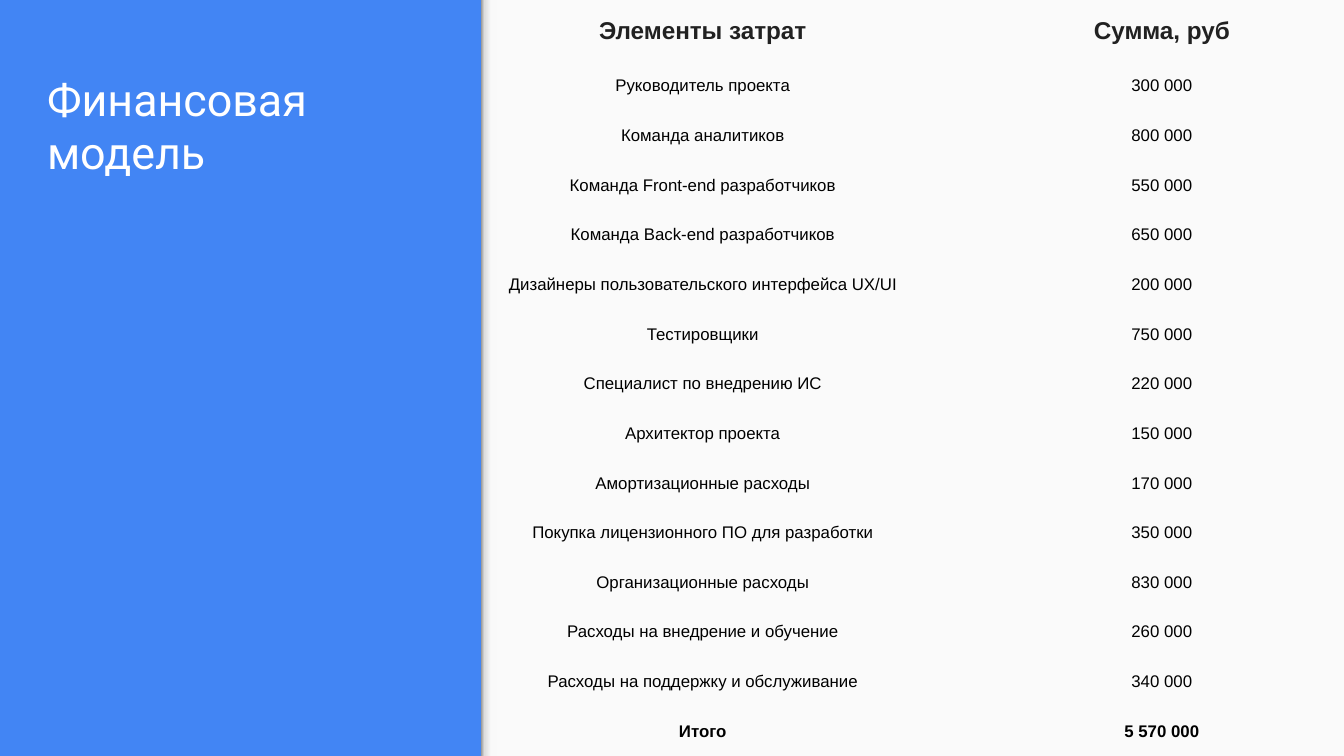
"""Build the financial model slide with its cost table."""
from copy import deepcopy
from typing import NamedTuple

from pptx import Presentation
from pptx.dml.color import RGBColor
from pptx.enum.shapes import MSO_SHAPE
from pptx.enum.text import MSO_ANCHOR, MSO_AUTO_SIZE, PP_ALIGN
from pptx.oxml.ns import qn
from pptx.util import Pt

WIDE, HIGH = 720, 405
EDGE = 257.8
INSET = 7.2
HEAD_H, ROW_H, COL_W = 32.4, 26.6, 246
PLAIN = "{2D5ABB26-0587-4C30-8999-92F81FD0307C}"
SHADE = [(0, "999999"), (0.2, "DEDEDE"), (0.64, "F9F9F9"), (1, "F9F9F9")]


class Cost(NamedTuple):
    name: str
    sum: str
    size: int = 9
    bold: bool = False
    color: str = "000000"


COSTS = [
    Cost("Элементы затрат", "Сумма, руб", 13, True, "212121"),
    Cost("Руководитель проекта", "300 000"),
    Cost("Команда аналитиков", "800 000"),
    Cost("Команда Front-end разработчиков", "550 000"),
    Cost("Команда Back-end разработчиков", "650 000"),
    Cost("Дизайнеры пользовательского интерфейса UX/UI", "200 000"),
    Cost("Тестировщики", "750 000"),
    Cost("Специалист по внедрению ИС", "220 000"),
    Cost("Архитектор проекта", "150 000"),
    Cost("Амортизационные расходы", "170 000"),
    Cost("Покупка лицензионного ПО для разработки", "350 000"),
    Cost("Организационные расходы", "830 000"),
    Cost("Расходы на внедрение и обучение", "260 000"),
    Cost("Расходы на поддержку и обслуживание", "340 000"),
    Cost("Итого", "5 570 000", bold=True),
]


def paint(color, value: str) -> None:
    color.rgb = RGBColor.from_string(value)


def style(para, face: str, size: int, color: str, bold: bool = False) -> None:
    font = para.font
    font.name, font.size, font.bold = face, Pt(size), bold
    paint(font.color, color)


def pad(box) -> None:
    box.margin_left = box.margin_right = Pt(INSET)
    box.margin_top = box.margin_bottom = Pt(INSET)


def add_rect(slide, left: float, width: float):
    rect = slide.shapes.add_shape(
        MSO_SHAPE.RECTANGLE, Pt(left), Pt(0), Pt(width), Pt(HIGH))
    rect.shadow.inherit = False
    rect.line.fill.background()
    return rect


def add_panel(slide) -> None:
    panel = add_rect(slide, EDGE, WIDE - EDGE)
    panel.fill.solid()
    paint(panel.fill.fore_color, "FAFAFA")
    strip = add_rect(slide, EDGE, 8.6)
    strip.fill.gradient()
    strip.fill.gradient_angle = 0
    stops = strip.element.spPr.find(qn("a:gradFill")).find(qn("a:gsLst"))
    for _ in range(len(SHADE) - len(stops)):
        stops.append(deepcopy(stops[0]))
    for stop, (place, color) in zip(strip.fill.gradient_stops, SHADE):
        stop.position = place
        paint(stop.color, color)


def set_title(slide) -> None:
    title = slide.shapes.title
    title.left, title.top = Pt(18), Pt(28)
    title.width, title.height = Pt(221), Pt(75)
    frame = title.text_frame
    frame.text = "Финансовая модель"
    frame.word_wrap = True
    frame.auto_size = MSO_AUTO_SIZE.NONE
    frame.vertical_anchor = MSO_ANCHOR.BOTTOM
    pad(frame)
    para = frame.paragraphs[0]
    para.alignment = PP_ALIGN.LEFT
    style(para, "Roboto", 24, "FFFFFF")


def add_costs(slide, costs: list[Cost]) -> None:
    full = HEAD_H + ROW_H * (len(costs) - 1)
    frame = slide.shapes.add_table(
        len(costs), 2, Pt(253.4), Pt(0), Pt(2 * COL_W), Pt(full))
    table = frame.table
    table.first_row = table.horz_banding = False
    frame.element.find(".//" + qn("a:tableStyleId")).text = PLAIN
    for col in table.columns:
        col.width = Pt(COL_W)
    for num, (row, cost) in enumerate(zip(table.rows, costs)):
        row.height = Pt(ROW_H if num else HEAD_H)
        for cell, text in zip(row.cells, (cost.name, cost.sum)):
            cell.text = text
            cell.fill.background()
            pad(cell)
            para = cell.text_frame.paragraphs[0]
            para.alignment = PP_ALIGN.CENTER
            para.line_spacing = 1.15
            style(para, "Arial", cost.size, cost.color, cost.bold)


def main() -> None:
    deck = Presentation()
    deck.slide_width, deck.slide_height = Pt(WIDE), Pt(HIGH)
    slide = deck.slides.add_slide(deck.slide_layouts[5])
    slide.background.fill.solid()
    paint(slide.background.fill.fore_color, "4285F4")
    add_panel(slide)
    set_title(slide)
    add_costs(slide, COSTS)
    deck.save("out.pptx")


if __name__ == "__main__":
    main()
